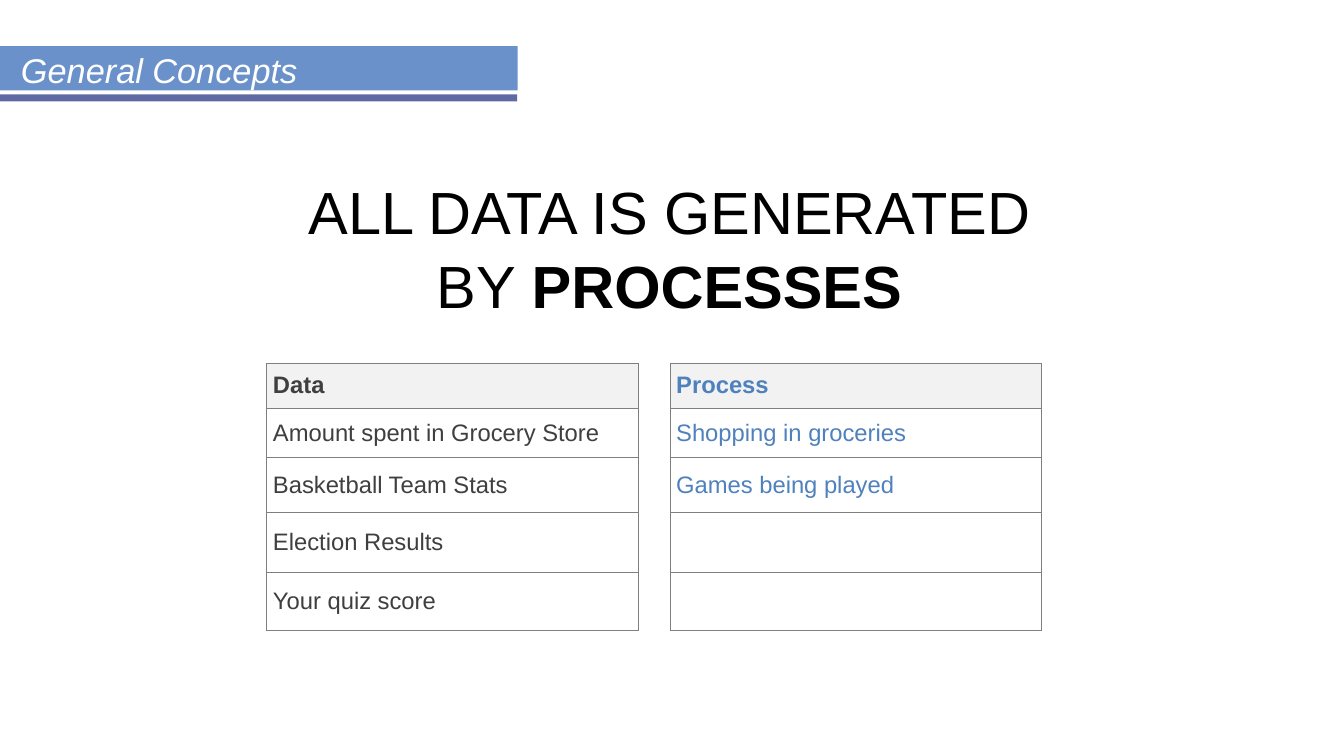
from lxml import etree
from pptx import Presentation
from pptx.dml.color import RGBColor
from pptx.enum.shapes import MSO_SHAPE
from pptx.enum.text import MSO_ANCHOR, MSO_AUTO_SIZE, PP_ALIGN
from pptx.oxml.ns import qn
from pptx.util import Pt

RECTANGLE = MSO_SHAPE.RECTANGLE
MIDDLE, TOP = MSO_ANCHOR.MIDDLE, MSO_ANCHOR.TOP
LEFT, CENTER = PP_ALIGN.LEFT, PP_ALIGN.CENTER
NO_AUTOFIT = MSO_AUTO_SIZE.NONE

EMU_PER_PX = 9525
FONT = "Arial"
TITLE_ONLY_LAYOUT = 5
COLORS = {
    "black": "000000", "white": "FFFFFF", "banner": "6B91CB",
    "stripe": "6169A3", "data": "3F3F3F", "process": "4F81BD",
    "header": "F2F2F2", "border": "7F7F7F",
}

TABLE_TOP, COLUMN_WIDTH = 692, 708
ROW_HEIGHTS = [85, 95, 104, 114, 110]
TABLES = [
    (508, "data", ["Data", "Amount spent in Grocery Store",
                   "Basketball Team Stats", "Election Results",
                   "Your quiz score"]),
    (1276, "process", ["Process", "Shopping in groceries",
                       "Games being played", "", ""]),
]


def px(n):
    return n * EMU_PER_PX


def box(*lengths):
    return [px(n) for n in lengths]


def rgb(name):
    return RGBColor.from_string(COLORS[name])


def add_run(p, text, size, color, bold=False, italic=False):
    r = p.add_run()
    r.text = text
    r.font.name, r.font.size = FONT, Pt(size)
    r.font.bold, r.font.italic = bold, italic
    r.font.color.rgb = rgb(color)


def format_paragraph(tf, anchor, align, top_inset, margin):
    """Set up the frame and return its first paragraph, indented by margin."""
    tf.word_wrap = True
    tf.auto_size = NO_AUTOFIT
    tf.vertical_anchor = anchor
    tf.margin_left = tf.margin_right = tf.margin_bottom = 0
    tf.margin_top = px(top_inset)
    p = tf.paragraphs[0]
    p.alignment = align
    pPr = p._p.get_or_add_pPr()
    pPr.set("marL", str(px(margin)))
    pPr.set("indent", "0")
    return p


def add_title(s):
    sp = s.shapes.title
    sp.left, sp.top, sp.width, sp.height = box(0, 88, 986, 84)
    sp.fill.solid()
    sp.fill.fore_color.rgb = rgb("banner")
    p = format_paragraph(sp.text_frame, MIDDLE, LEFT, 6, 40)
    add_run(p, "General Concepts", 49, "white", italic=True)


def add_stripe(s):
    sp = s.shapes.add_shape(RECTANGLE, *box(0, 180, 985, 13))
    sp.shadow.inherit = False
    sp.fill.solid()
    sp.fill.fore_color.rgb = rgb("stripe")
    sp.line.fill.background()


def add_statement(s):
    sp = s.shapes.add_textbox(*box(503, 291, 1485, 304))
    p = format_paragraph(sp.text_frame, TOP, CENTER, 36, 59)
    p.line_spacing = 1.04
    add_run(p, "ALL DATA IS GENERATED BY ", 85, "black")
    add_run(p, "PROCESSES", 85, "black", bold=True)


def add_borders(cell):
    tcPr = cell._tc.get_or_add_tcPr()
    for side in ("lnL", "lnR", "lnT", "lnB"):
        ln = etree.SubElement(tcPr, qn(f"a:{side}"), w=str(Pt(1)))
        fill = etree.SubElement(ln, qn("a:solidFill"))
        etree.SubElement(fill, qn("a:srgbClr"), val=COLORS["border"])


def format_cell(cell, text, color, header):
    cell.vertical_anchor = MIDDLE
    cell.margin_left = cell.margin_right = px(12)
    cell.margin_top = cell.margin_bottom = px(6)
    add_borders(cell)
    if header:
        cell.fill.solid()
        cell.fill.fore_color.rgb = rgb("header")
    else:
        cell.fill.background()
    if text:
        add_run(cell.text_frame.paragraphs[0], text, 34, color, bold=header)


def add_column_table(s, left, color, texts):
    frame = s.shapes.add_table(
        len(texts), 1, *box(left, TABLE_TOP, COLUMN_WIDTH, sum(ROW_HEIGHTS)))
    table = frame.table
    table.horz_banding = False
    for i, (text, height) in enumerate(zip(texts, ROW_HEIGHTS)):
        table.rows[i].height = px(height)
        format_cell(table.cell(i, 0), text, color, header=i == 0)


def main():
    prs = Presentation()
    prs.slide_width, prs.slide_height = box(2560, 1440)
    s = prs.slides.add_slide(prs.slide_layouts[TITLE_ONLY_LAYOUT])
    add_title(s)
    add_stripe(s)
    add_statement(s)
    for left, color, texts in TABLES:
        add_column_table(s, left, color, texts)
    prs.save("out.pptx")


if __name__ == "__main__":
    main()
